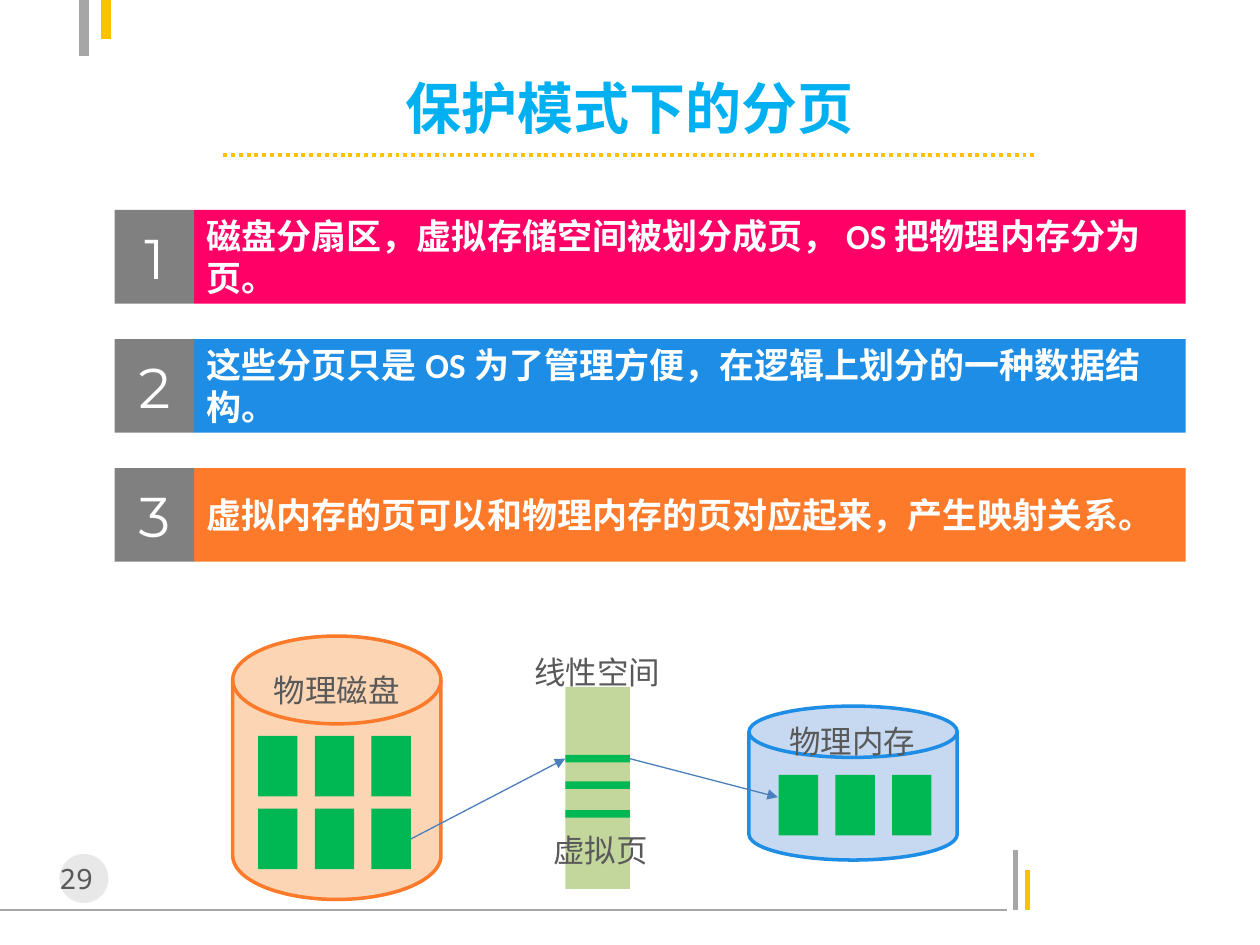
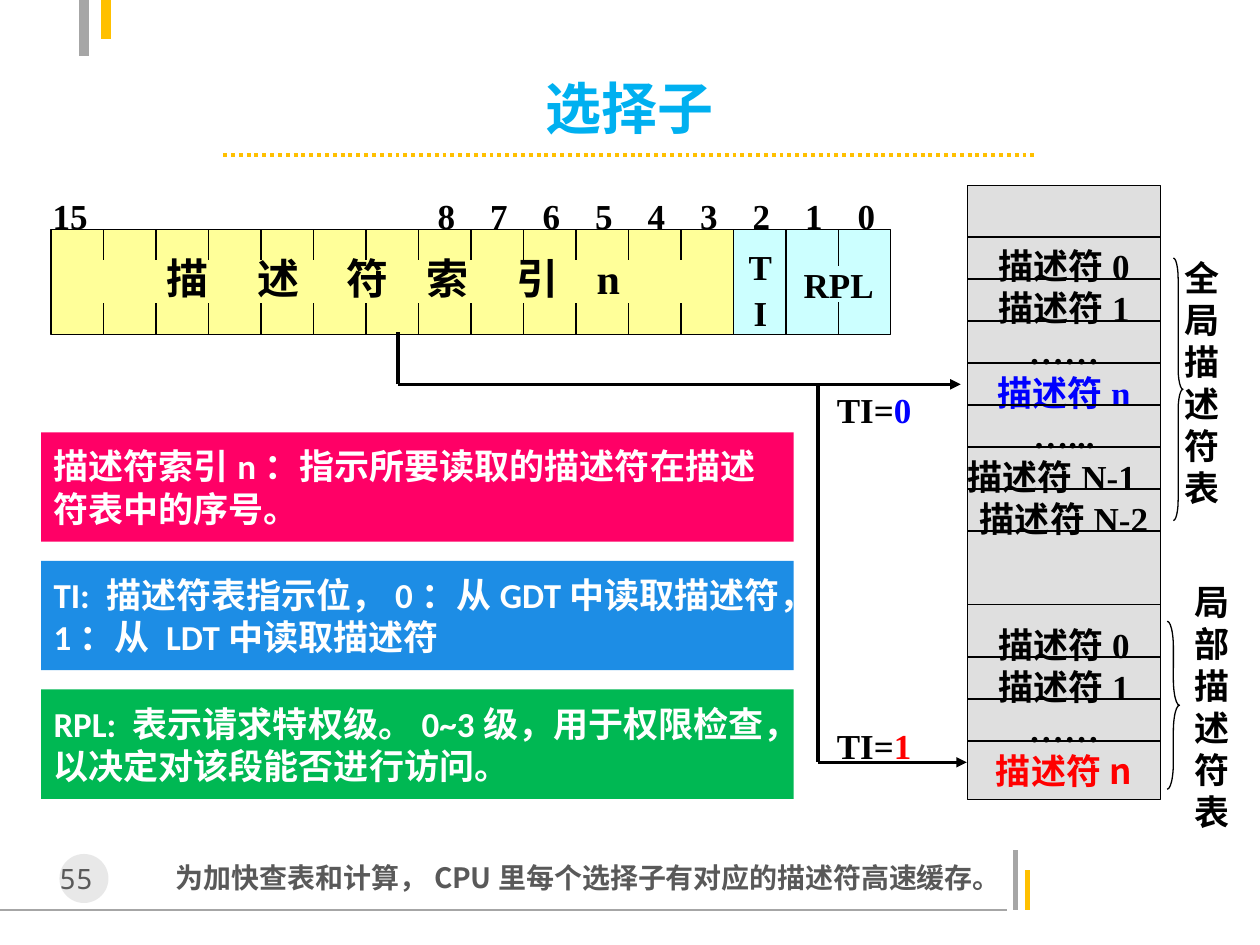
from dataclasses import dataclass, replace
from typing import NamedTuple

from lxml import etree
from pptx import Presentation
from pptx.dml.color import RGBColor
from pptx.enum.dml import MSO_LINE
from pptx.enum.shapes import MSO_CONNECTOR, MSO_SHAPE
from pptx.enum.text import MSO_ANCHOR, MSO_AUTO_SIZE, PP_ALIGN
from pptx.oxml.ns import qn
from pptx.util import Pt

RECT, OVAL = MSO_SHAPE.RECTANGLE, MSO_SHAPE.OVAL
DISK, BRACE = MSO_SHAPE.FLOWCHART_MAGNETIC_DISK, MSO_SHAPE.RIGHT_BRACE
STRAIGHT, DOTTED = MSO_CONNECTOR.STRAIGHT, MSO_LINE.ROUND_DOT
LEFT, CENTER = PP_ALIGN.LEFT, PP_ALIGN.CENTER
TOP, MIDDLE = MSO_ANCHOR.TOP, MSO_ANCHOR.MIDDLE
NO_FIT = MSO_AUTO_SIZE.NONE
SIDE_LEFT, SIDE_RIGHT = 1, 3

COLORS = {
    "title": "00B0F0", "gold": "FFC000", "rule": "A6A6A6", "badge": "BFBFBF",
    "text": "595959", "white": "FFFFFF", "black": "000000", "number": "808080",
    "pink": "FF0066", "blue": "1D8DE5", "orange": "FD7A2A", "page": "00B853",
    "peach": "FCD5B5", "sky": "C6D9F1", "olive": "C3D69B", "arrow": "4B7EBC",
    "index": "FFFF99", "flags": "CCFFFF", "table": "C0C0C0",
    "gdt": "0000FF", "ldt": "FF0000",
}
CJK = "Noto Sans CJK SC"
DEFAULT_INSETS = (7.2, 3.6, 7.2, 3.6)
NO_INSETS = (0, 0, 0, 0)
SIDE_INSETS = (0, 3.6, 0, 3.6)


class Box(NamedTuple):
    """A frame in points."""
    left: float
    top: float
    width: float
    height: float


class Segment(NamedTuple):
    """A straight line in points."""
    x1: float
    y1: float
    x2: float
    y2: float
    color: str = "black"
    width: float = 0.75


@dataclass(frozen=True)
class Style:
    """Text format: line is a multiple, or an exact Pt height."""
    size: float
    color: str
    font: str = CJK
    bold: bool = False
    line: float | None = None
    align: PP_ALIGN = LEFT
    anchor: MSO_ANCHOR = TOP
    insets: tuple = DEFAULT_INSETS


@dataclass(frozen=True)
class Bar:
    """A coloured statement."""
    color: str
    text: str


TITLE = Style(32, "title", bold=True, align=CENTER, anchor=MIDDLE)
PAGE_NUMBER = Style(16, "text", "Noto Sans Mono", align=CENTER)
BAR = Style(20, "white", "Calibri", True, Pt(24), anchor=MIDDLE)
BAR_NUMBER = Style(32, "white", "Montserrat", align=CENTER, anchor=MIDDLE)
LABEL = Style(18, "text", line=Pt(30), align=CENTER)
FOOTNOTE = Style(16, "text", bold=True, line=Pt(26), insets=(7.2, 3.6, 0, 3.6))
SERIF = Style(20, "black", "Times New Roman", True, align=CENTER, insets=NO_INSETS)
COLUMN = replace(SERIF, line=Pt(24), insets=SIDE_INSETS)

FRAME_LINES = [
    Segment(0, 520, 575.5, 520, "rule"),
    Segment(580.5, 520, 580.5, 485.5, "rule", 3),
    Segment(587, 520, 587, 497, "gold", 3),
    Segment(48, 32, 48, 0, "rule", 6),
    Segment(60.5, 0, 60.5, 22.5, "gold", 6),
]
PAGING_BARS = [
    Bar("pink", "磁盘分扇区，虚拟存储空间被划分成页，OS把物理内存分为页。"),
    Bar("blue", "这些分页只是OS为了管理方便，在逻辑上划分的一种数据结构。"),
    Bar("orange", "虚拟内存的页可以和物理内存的页对应起来，产生映射关系。"),
]
SELECTOR_BARS = [
    Bar("pink", "描述符索引n：指示所要读取的描述符在描述符表中的序号。"),
    Bar("blue", "TI: 描述符表指示位，0：从GDT中读取描述符，1：从 LDT中读取描述符"),
    Bar("page", "RPL: 表示请求特权级。0~3级，用于权限检查，以决定对该段能否进行访问。"),
]
GDT_ROWS = ["描述符0", "描述符1", "……", "描述符n", "…...", "描述符N-1", "描述符N-2"]
LDT_ROWS = ["描述符0", "描述符1", "……", "描述符n"]


def rgb(name: str) -> RGBColor:
    """Look up a colour."""
    return RGBColor.from_string(COLORS[name])


def format_run(r, style: Style) -> None:
    """Apply font, size and colour to a run."""
    r.font.size, r.font.bold, r.font.name = Pt(style.size), style.bold, style.font
    r.font.color.rgb = rgb(style.color)
    etree.SubElement(r.font._element, qn("a:ea"), typeface=CJK)


def write(sp, text: str, style: Style, tabs: tuple = (), wrap: bool = True):
    """Fill a shape with formatted text."""
    tf = sp.text_frame
    tf.text = text
    tf.word_wrap, tf.auto_size, tf.vertical_anchor = wrap, NO_FIT, style.anchor
    tf.margin_left, tf.margin_top, tf.margin_right, tf.margin_bottom = map(Pt, style.insets)
    for p in tf.paragraphs:
        p.alignment = style.align
        if style.line:
            p.line_spacing = style.line
        if tabs:
            stops = etree.SubElement(p._p.get_or_add_pPr(), qn("a:tabLst"))
            for pos in tabs:
                etree.SubElement(stops, qn("a:tab"), pos=str(int(Pt(pos))), algn="l")
        for r in p.runs:
            format_run(r, style)
    return tf


def add_text(s, box: Box, text: str, style: Style, tabs: tuple = ()):
    """Add a text box."""
    return write(s.shapes.add_textbox(*map(Pt, box)), text, style, tabs)


def add_shape(s, kind, box: Box, fill: str | None = None, line: str | None = None,
              width: float = 0.75, opacity: int = 100):
    """Add a flat preset shape."""
    sp = s.shapes.add_shape(kind, *map(Pt, box))
    sp.shadow.inherit = False
    if fill:
        sp.fill.solid()
        sp.fill.fore_color.rgb = rgb(fill)
    else:
        sp.fill.background()
    if opacity < 100:
        color = sp._element.spPr.find(f"{qn('a:solidFill')}/{qn('a:srgbClr')}")
        etree.SubElement(color, qn("a:alpha"), val=str(opacity * 1000))
    if line:
        sp.line.color.rgb, sp.line.width = rgb(line), Pt(width)
    else:
        sp.line.fill.background()
    return sp


def add_line(s, seg: Segment, arrow: bool = False, dash=None):
    """Add a straight connector."""
    cx = s.shapes.add_connector(STRAIGHT, *map(Pt, seg[:4]))
    cx.line.color.rgb, cx.line.width = rgb(seg.color), Pt(seg.width)
    if dash:
        cx.line.dash_style = dash
    if arrow:
        etree.SubElement(cx.line._get_or_add_ln(), qn("a:tailEnd"), type="triangle")
    etree.SubElement(cx._element.spPr, qn("a:effectLst"))
    return cx


def add_slide(prs, title: str, number: int):
    """Add a slide with its frame, page number and title."""
    s = prs.slides.add_slide(prs.slide_layouts[5])
    for seg in FRAME_LINES:
        add_line(s, seg)
    add_shape(s, OVAL, Box(34, 488, 28, 28), "badge", opacity=35)
    add_text(s, Box(18, 489, 51, 27), str(number), PAGE_NUMBER)
    sp = s.shapes.title
    sp.left, sp.top, sp.width, sp.height = map(Pt, Box(99, 43, 522, 36))
    write(sp, title, TITLE, wrap=False)
    add_line(s, Segment(127.5, 88.5, 592.5, 88.5, "gold", 2.25), dash=DOTTED)
    return s


def add_bars(s, bars: list[Bar], first: Box, pitch: float, numbered: bool = False) -> None:
    """Stack statements, with a number square before each if asked."""
    for i, bar in enumerate(bars):
        box = first._replace(top=first.top + i * pitch)
        write(add_shape(s, RECT, box, bar.color), bar.text, BAR)
        if numbered:
            square = box._replace(left=box.left - 45.5, width=45.5)
            write(add_shape(s, RECT, square, "number"), str(i + 1), BAR_NUMBER)


def add_pages(s, left: float, top: float, rows: int) -> list:
    """Add rows of three memory pages."""
    return [add_shape(s, RECT, Box(left + 32.4 * col, top + 41.6 * row, 22.5, 34.6), "page")
            for row in range(rows) for col in range(3)]


def build_paging(prs) -> None:
    """Paging in protected mode."""
    s = add_slide(prs, "保护模式下的分页", 29)
    add_bars(s, PAGING_BARS, Box(111, 120, 566.6, 53.5), 73.75, numbered=True)
    add_shape(s, DISK, Box(133, 363.5, 119, 150.5), "peach", "orange", 2)
    add_shape(s, DISK, Box(428, 403.5, 119, 88), "sky", "blue", 2)
    add_shape(s, RECT, Box(323, 392.5, 37, 115.5), "olive")
    disk_pages = add_pages(s, 147.5, 420.5, 2)
    linear_pages = [add_shape(s, RECT, Box(323, y, 37, 4.3), "page")
                    for y in (431.4, 446.5, 463)]
    add_pages(s, 445, 442.8, 1)
    for box, label in [
        (Box(138.5, 371.5, 108, 33), "物理磁盘"),
        (Box(433, 400.5, 108, 33), "物理内存"),
        (Box(298, 361, 86.5, 33), "线性空间"),
        (Box(300, 463, 86.5, 33), "虚拟页"),
    ]:
        add_text(s, box, label, LABEL)
    to_memory = add_line(s, Segment(360, 433.5, 444.5, 455.5, "arrow"), arrow=True)
    to_memory.begin_connect(linear_pages[0], SIDE_RIGHT)
    to_linear = add_line(s, Segment(235, 479.5, 323, 433.5, "arrow"), arrow=True)
    to_linear.begin_connect(disk_pages[-1], SIDE_RIGHT)
    to_linear.end_connect(linear_pages[0], SIDE_LEFT)


def add_selector(s) -> None:
    """Draw the 16-bit selector with its fields."""
    add_shape(s, RECT, Box(419, 131, 90, 60), "flags", "black")
    add_shape(s, RECT, Box(29.2, 131, 390, 60), "index", "black")
    bits = "\t".join(["15", *map(str, range(8, -1, -1))])
    add_text(s, Box(23, 107.5, 492, 31), bits, replace(SERIF, align=LEFT, insets=DEFAULT_INSETS),
             tuple(220 + 30 * i for i in range(9)))
    for i in range(15):
        x = 59.2 + 30 * i
        add_line(s, Segment(x, 131, x, 191))
    add_text(s, Box(425.5, 138, 18, 52.5), "T\nI", replace(SERIF, line=1.1))
    rpl = add_shape(s, RECT, Box(455, 152.5, 48.5, 20), "flags", "flags")
    write(rpl, "RPL", replace(SERIF, anchor=MIDDLE))
    index = add_shape(s, RECT, Box(41, 149, 366, 24), "index", "index")
    write(index, "\t描\t述\t符\t索\t引\tn", replace(SERIF, size=24, line=Pt(24), align=LEFT),
          (54, 106, 157, 203, 254, 300))


def add_descriptor_tables(s) -> None:
    """Draw the memory column holding both descriptor tables."""
    sp = add_shape(s, RECT, Box(553, 106, 110, 351), "table", "black", opacity=50)
    tf = write(sp, "\n".join(GDT_ROWS + LDT_ROWS), replace(COLUMN, insets=(0, 34, 0, 3.6)))
    rows = tf.paragraphs
    rows[GDT_ROWS.index("描述符N-1")].alignment = LEFT
    rows[len(GDT_ROWS)].space_before = Pt(48)
    rows[GDT_ROWS.index("描述符n")].runs[0].font.color.rgb = rgb("gdt")
    rows[-1].runs[0].font.color.rgb = rgb("ldt")
    rows[-1].runs[0].font.name = CJK
    for y in [135.5 + 24 * i for i in range(8)] + [345.5] + [375.5 + 24 * i for i in range(3)]:
        add_line(s, Segment(553, y, 663, y))
    for brace_box, label_box, label in [
        (Box(670.5, 147.5, 5.5, 150), Box(671, 143, 31.5, 151), "全局描述符表"),
        (Box(667, 355, 7, 96), Box(674, 328, 37.5, 151), "局部描述符表"),
    ]:
        brace = add_shape(s, BRACE, brace_box, line="black")
        brace.adjustments[0], brace.adjustments[1] = 2.13, 0.5
        add_text(s, label_box, "\n".join(label), COLUMN)


def build_selector(prs) -> None:
    """Selector fields and the tables they address."""
    s = add_slide(prs, "选择子", 55)
    add_selector(s)
    add_descriptor_tables(s)
    for stem, branch, label_top, bit, color in [
        (Segment(227.5, 190, 227.5, 219.6, width=2),
         Segment(227.5, 219.6, 549, 219.6, width=2), 222, "0", "gdt"),
        (Segment(467.5, 219.6, 467.5, 435.6, width=2),
         Segment(467.5, 435.6, 552.5, 435.6, width=2), 414, "1", "ldt"),
    ]:
        add_line(s, stem)
        add_line(s, branch, arrow=True)
        tf = add_text(s, Box(475, label_top, 49, 24), "TI=", SERIF)
        r = tf.paragraphs[0].add_run()
        r.text = bit
        format_run(r, replace(SERIF, color=color))
    add_bars(s, SELECTOR_BARS, Box(23.5, 247, 430, 62.5), 73.5)
    add_text(s, Box(93.5, 481.5, 481.5, 32.5),
             "为加快查表和计算，CPU里每个选择子有对应的描述符高速缓存。", FOOTNOTE)


def main() -> None:
    """Build and save the deck."""
    prs = Presentation()
    prs.slide_width, prs.slide_height = Pt(720), Pt(540)
    build_paging(prs)
    build_selector(prs)
    prs.save("out.pptx")


if __name__ == "__main__":
    main()
